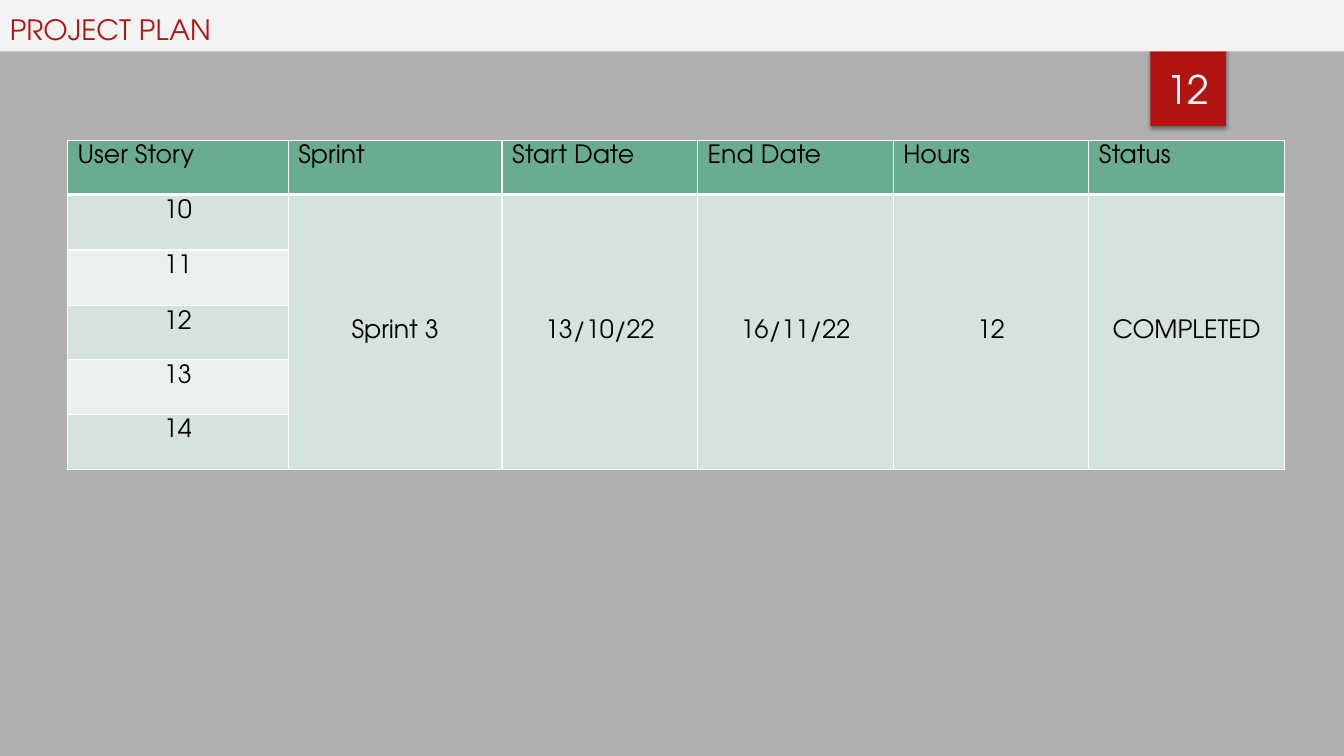
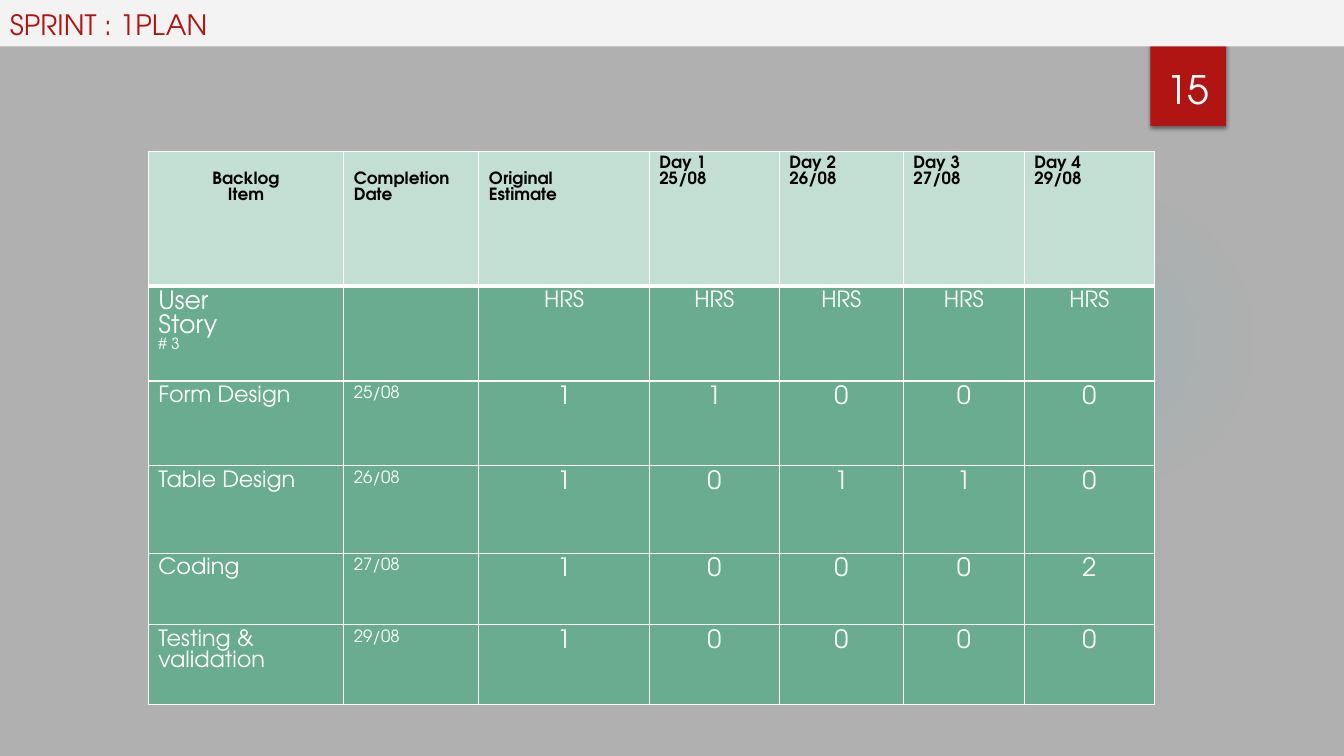
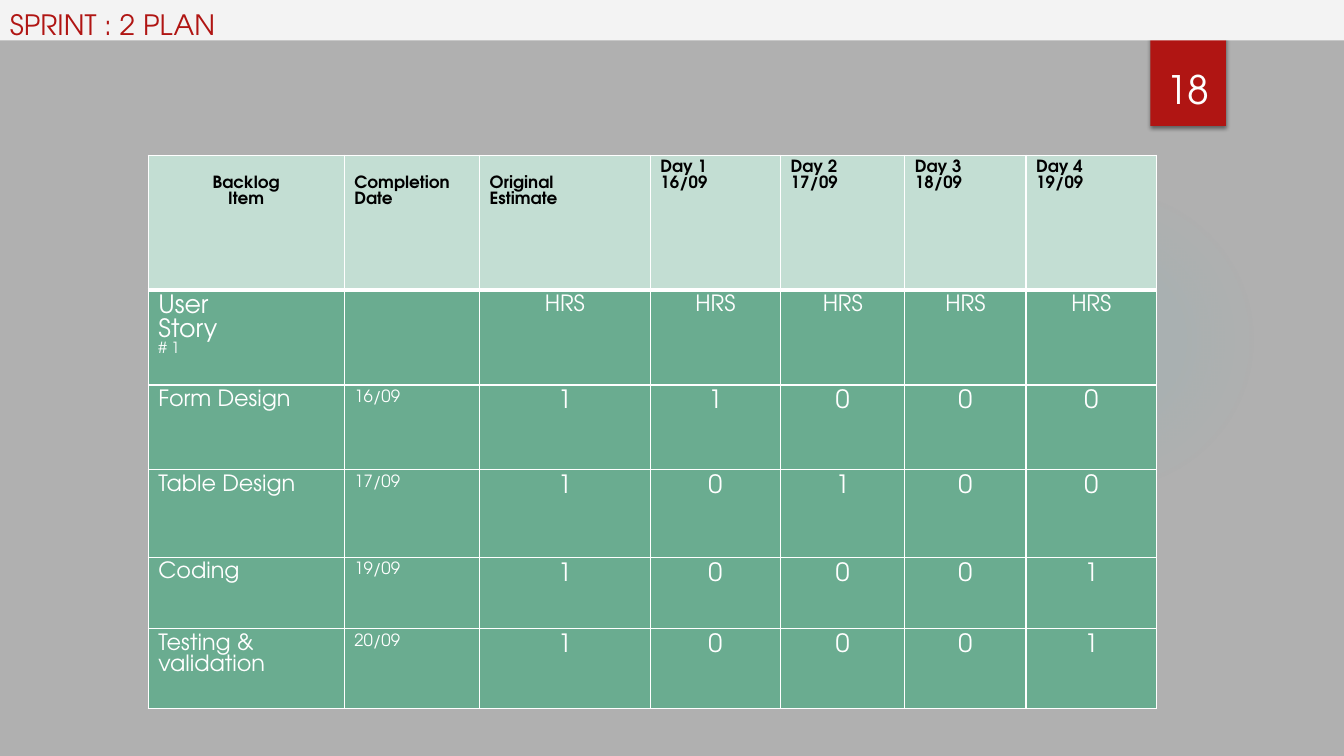
from dataclasses import dataclass

from lxml import etree
from pptx import Presentation
from pptx.dml.color import RGBColor
from pptx.enum.shapes import MSO_SHAPE
from pptx.enum.text import MSO_ANCHOR, PP_ALIGN
from pptx.oxml import parse_xml
from pptx.oxml.ns import nsdecls, qn
from pptx.util import Inches, Pt

RECTANGLE, OVAL = MSO_SHAPE.RECTANGLE, MSO_SHAPE.OVAL
LEFT, CENTER = PP_ALIGN.LEFT, PP_ALIGN.CENTER
TOP, MIDDLE, BOTTOM = MSO_ANCHOR.TOP, MSO_ANCHOR.MIDDLE, MSO_ANCHOR.BOTTOM

SLIDE_WIDTH, SLIDE_HEIGHT = 13.33, 7.5
FONT = "TeX Gyre Adventor"
GRAY, BAND, RED, GLOW = "B0B0B0", "F3F3F3", "B01513", "50B9C1"
WHITE, BLACK = "FFFFFF", "000000"
GREEN, MINT, PALE, PALER = "6AAC90", "C3DED3", "D4E3DB", "EBF1EE"
GLOW_STOPS = ((0, 7), (36, 6), (69, 0))
THIN, THICK = 1, 3
HEADER_DROP = 0.21


@dataclass(frozen=True)
class Area:
    left: float
    top: float
    width: float
    height: float


@dataclass(frozen=True)
class Line:
    text: str
    size: float
    color: str = BLACK
    bold: bool = False


@dataclass(frozen=True)
class Entry:
    """Content of one table cell, reaching down over a number of rows."""
    lines: tuple[Line, ...]
    fill: str
    align: PP_ALIGN = LEFT
    anchor: MSO_ANCHOR = TOP
    margin_top: float = 0.05
    rows: int = 1


@dataclass(frozen=True)
class Grid:
    """Place of a table; column widths are shares of the whole width."""
    left: float
    top: float
    width: float
    columns: tuple[float, ...]
    rows: tuple[float, ...]


@dataclass(frozen=True)
class Sprint:
    title: str
    number: str
    band: Area
    table_top: float
    table_width: float
    story: str
    days: tuple[str, ...]
    tasks: tuple[tuple[str, str, str], ...]


PLAN_COLUMNS = (2.19, 2.12, 1.94, 1.94, 1.94, 1.94)
PLAN_ROWS = (0.54, 0.55, 0.55, 0.54, 0.54, 0.55)
PLAN_HEADINGS = ("User Story", "Sprint", "Start Date", "End Date", "Hours", "Status")
PLAN_STORIES = ("10", "11", "12", "13", "14")
PLAN_VALUES = ("Sprint 3", "13/10/22", "16/11/22", "12", "COMPLETED")

SPRINT_COLUMNS = (1.94, 1.34, 1.69, 1.29, 1.23, 1.2, 1.29)
SPRINT_ROWS = (1.34, 0.94, 0.84, 0.87, 0.71, 0.79)
SPRINTS = (
    Sprint("SPRINT : 1PLAN", "15", Area(0, -0.05, SLIDE_WIDTH, 0.51), 1.5, 9.98,
           "# 3", ("25/08", "26/08", "27/08", "29/08"),
           (("Form Design", "25/08", "11000"),
            ("Table Design", "26/08", "10110"),
            ("Coding", "27/08", "10002"),
            ("Testing & validation", "29/08", "10000"))),
    Sprint("SPRINT : 2 PLAN", "18", Area(0, -0.05, SLIDE_WIDTH, 0.45), 1.54, 10,
           "# 1", ("16/09", "17/09", "18/09", "19/09"),
           (("Form Design", "16/09", "11000"),
            ("Table Design", "17/09", "10100"),
            ("Coding", "19/09", "10001"),
            ("Testing & validation", "20/09", "10001"))),
)


def rgb(value: str) -> RGBColor:
    return RGBColor.from_string(value)


def write(frame, lines: tuple[Line, ...], align: PP_ALIGN = LEFT) -> None:
    for index, line in enumerate(lines):
        para = frame.add_paragraph() if index else frame.paragraphs[0]
        para.alignment = align
        span = para.add_run()
        span.text = line.text
        span.font.name = FONT
        span.font.size = Pt(line.size)
        span.font.bold = line.bold
        span.font.color.rgb = rgb(line.color)


def place(area: Area) -> list[int]:
    return [Inches(length) for length in (area.left, area.top, area.width, area.height)]


def add_block(page, kind: MSO_SHAPE, area: Area, color: str):
    block = page.shapes.add_shape(kind, *place(area))
    block.shadow.inherit = False
    block.fill.solid()
    block.fill.fore_color.rgb = rgb(color)
    block.line.fill.background()
    return block


def add_glow(page) -> None:
    glow = add_block(page, OVAL, Area(9.41, 1.83, 3.08, 3.08), GLOW)
    stops = "".join(
        f'<a:gs pos="{position * 1000}"><a:srgbClr val="{GLOW}">'
        f'<a:alpha val="{alpha * 1000}"/></a:srgbClr></a:gs>'
        for position, alpha in GLOW_STOPS)
    gradient = parse_xml(
        f'<a:gradFill {nsdecls("a")}><a:gsLst>{stops}</a:gsLst><a:path path="circle">'
        '<a:fillToRect l="50000" t="50000" r="50000" b="50000"/></a:path></a:gradFill>')
    properties = glow.element.spPr
    properties.replace(properties.find(qn("a:solidFill")), gradient)


def add_badge(page) -> None:
    badge = add_block(page, RECTANGLE, Area(11.41, 0, 0.75, 1.25), RED)
    effects = badge.element.spPr.find(qn("a:effectLst"))
    effects.append(parse_xml(
        f'<a:outerShdw {nsdecls("a")} blurRad="{Pt(3)}" dist="{Pt(2)}" dir="5400000">'
        f'<a:srgbClr val="{BLACK}"><a:alpha val="45000"/></a:srgbClr></a:outerShdw>'))


def add_page(deck, title: str, number: str, band: Area):
    """Add a slide with the glow, badge, title band and page number."""
    page = deck.slides.add_slide(deck.slide_layouts[6])
    add_glow(page)
    add_badge(page)
    frame = add_block(page, RECTANGLE, band, BAND).text_frame
    frame.vertical_anchor = TOP
    frame.margin_top = Inches(0.12)
    write(frame, (Line(title, 20, RED),))

    frame = page.shapes.add_textbox(*place(Area(11.32, 0.32, 0.92, 0.84))).text_frame
    frame.word_wrap = True
    frame.vertical_anchor = BOTTOM
    write(frame, (Line(number, 28, WHITE),), CENTER)
    return page


def set_borders(cell, top: float, bottom: float) -> None:
    properties = cell._tc.get_or_add_tcPr()
    for side, width in (("L", THIN), ("R", THIN), ("T", top), ("B", bottom)):
        border = etree.SubElement(properties, qn(f"a:ln{side}"), w=str(Pt(width)))
        fill = etree.SubElement(border, qn("a:solidFill"))
        etree.SubElement(fill, qn("a:srgbClr"), val=WHITE)


def add_grid(page, grid: Grid, entries: list[list[Entry]]) -> None:
    """Draw a table; a row may be shorter where entries above reach into it."""
    area = Area(grid.left, grid.top, grid.width, sum(grid.rows))
    table = page.shapes.add_table(len(grid.rows), len(grid.columns), *place(area)).table
    table.first_row = table.horz_banding = False
    for column, share in zip(table.columns, grid.columns):
        column.width = Inches(grid.width * share / sum(grid.columns))
    for index, height in enumerate(grid.rows):
        table.rows[index].height = Inches(height)
        for cell in table.rows[index].cells:
            set_borders(cell, THICK if index == 1 else THIN, THIN if index else THICK)
    for row, row_entries in enumerate(entries):
        for column, entry in enumerate(row_entries):
            cell = table.cell(row, column)
            if entry.rows > 1:
                cell.merge(table.cell(row + entry.rows - 1, column))
            cell.fill.solid()
            cell.fill.fore_color.rgb = rgb(entry.fill)
            cell.vertical_anchor = entry.anchor
            cell.margin_top = Inches(entry.margin_top)
            write(cell.text_frame, entry.lines, entry.align)


def plan_entries() -> list[list[Entry]]:
    entries = [[Entry((Line(heading, 18),), GREEN) for heading in PLAN_HEADINGS]]
    for index, story in enumerate(PLAN_STORIES):
        fill = PALER if index % 2 else PALE
        entries.append([Entry((Line(story, 18),), fill, CENTER)])
    entries[1] += [Entry((Line(value, 18),), PALE, CENTER, MIDDLE, rows=len(PLAN_STORIES))
                   for value in PLAN_VALUES]
    return entries


def heading_entry(*texts: str, align: PP_ALIGN = LEFT, margin_top: float = 0.05) -> Entry:
    lines = tuple(Line(text, 12, bold=True) for text in texts)
    return Entry(lines, MINT, align, margin_top=margin_top)


def body_entry(text: str, size: float, align: PP_ALIGN = LEFT) -> Entry:
    return Entry((Line(text, size, WHITE),), GREEN, align)


def sprint_entries(sprint: Sprint) -> list[list[Entry]]:
    headings = [
        heading_entry("Backlog", "Item", align=CENTER, margin_top=HEADER_DROP),
        heading_entry("Completion Date", margin_top=HEADER_DROP),
        heading_entry("Original", "Estimate", margin_top=HEADER_DROP),
    ]
    headings += [heading_entry(f"Day {day}", date)
                 for day, date in enumerate(sprint.days, start=1)]
    story = Entry((Line("User", 18, WHITE), Line("Story", 18, WHITE),
                   Line(sprint.story, 11, WHITE)), GREEN)
    units = [body_entry("HRS", 16, CENTER) for _ in range(len(sprint.days) + 1)]
    entries = [headings, [story, Entry((), GREEN), *units]]
    for task, date, hours in sprint.tasks:
        entries.append([body_entry(task, 16), body_entry(date, 12),
                        *(body_entry(hour, 18, CENTER) for hour in hours)])
    return entries


def main() -> None:
    deck = Presentation()
    deck.slide_width, deck.slide_height = Inches(SLIDE_WIDTH), Inches(SLIDE_HEIGHT)
    background = deck.slide_master.background.fill
    background.solid()
    background.fore_color.rgb = rgb(GRAY)

    page = add_page(deck, "PROJECT PLAN", "12", Area(0, 0, SLIDE_WIDTH, 0.51))
    add_grid(page, Grid(0.67, 1.39, 12.07, PLAN_COLUMNS, PLAN_ROWS), plan_entries())
    for sprint in SPRINTS:
        page = add_page(deck, sprint.title, sprint.number, sprint.band)
        grid = Grid(1.47, sprint.table_top, sprint.table_width, SPRINT_COLUMNS, SPRINT_ROWS)
        add_grid(page, grid, sprint_entries(sprint))
    deck.save("out.pptx")


if __name__ == "__main__":
    main()
